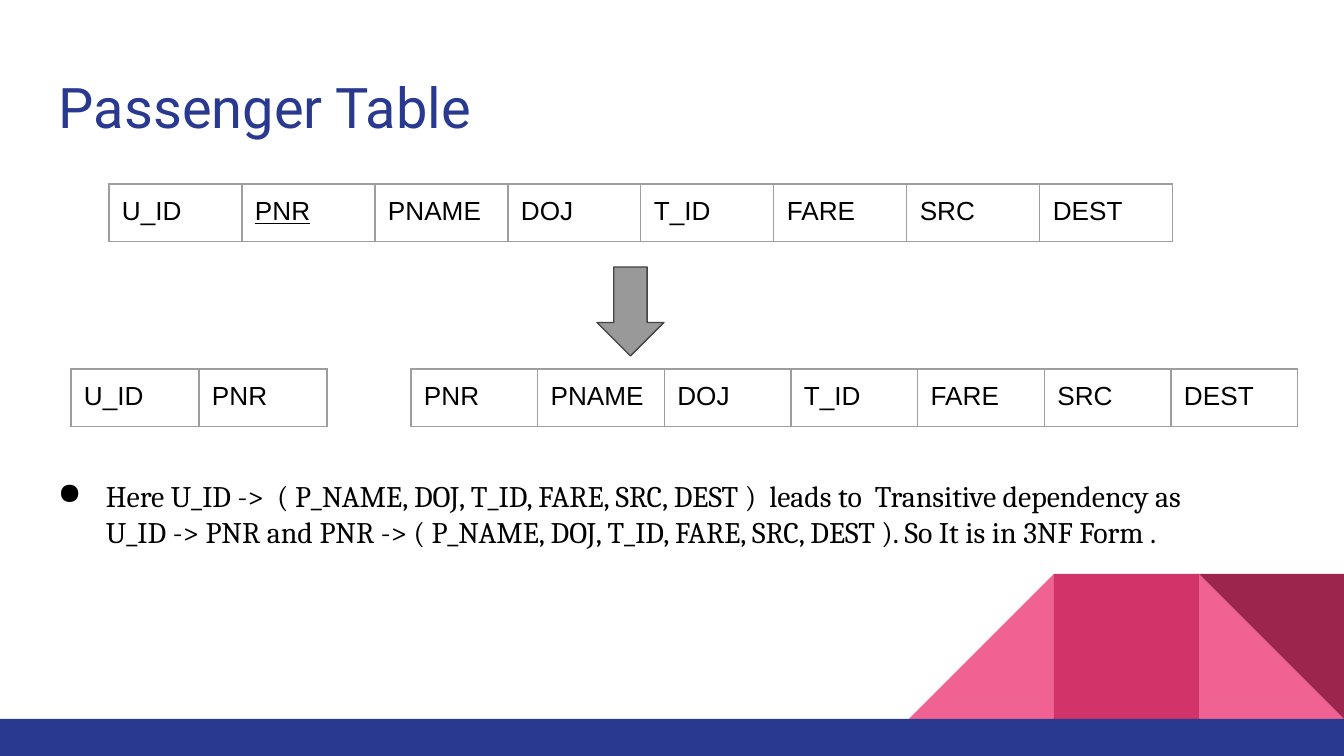
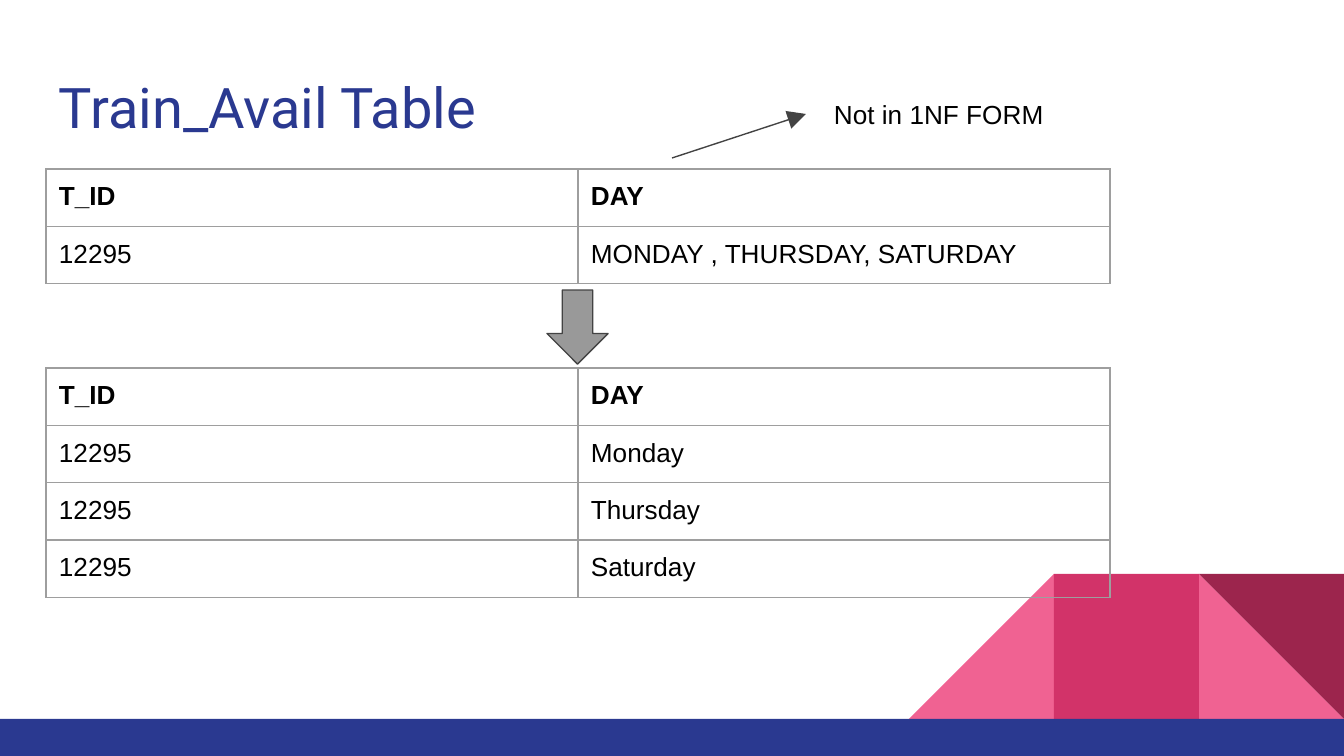
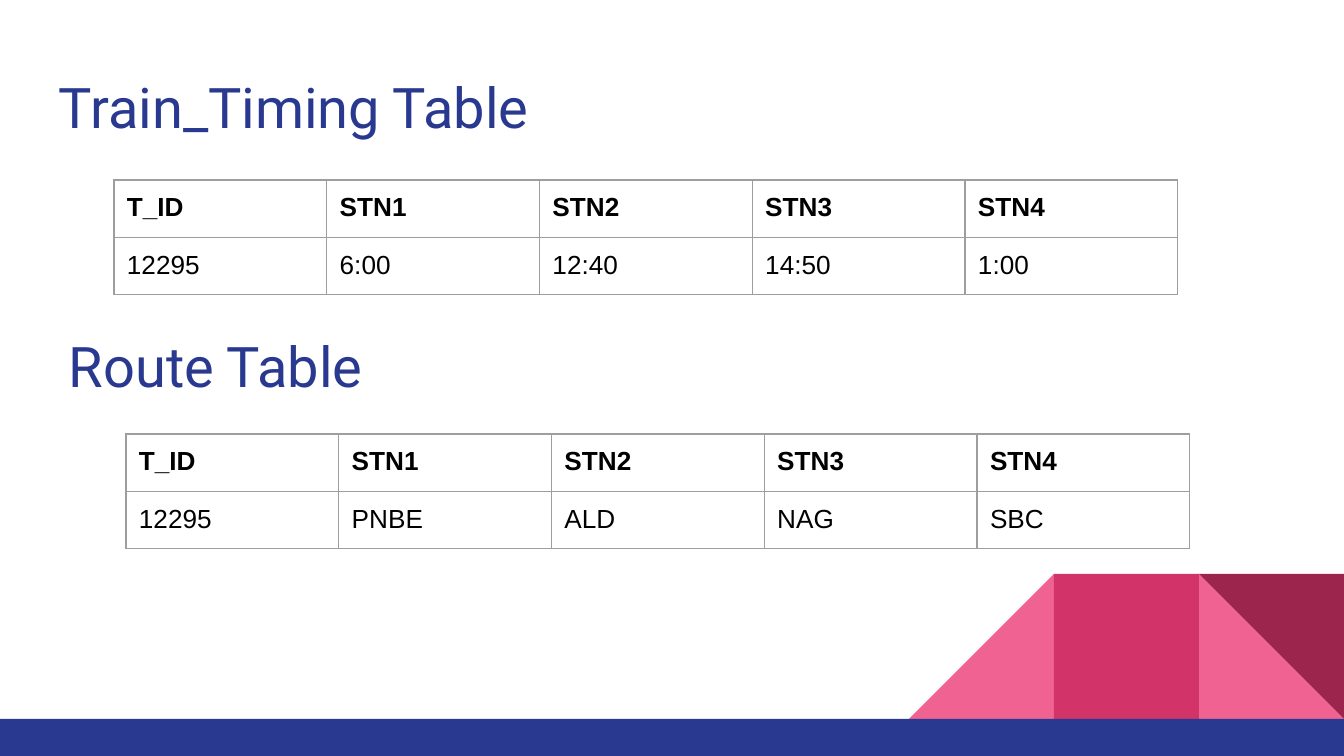
"""Build three slides on normalising the railway booking tables."""
import lxml.etree
import pptx
import pptx.dml.color
import pptx.enum.shapes
import pptx.enum.text
import pptx.oxml.ns
import pptx.util

WIDE, HIGH = 1344, 756
SCALE = 9144000 / WIDE


class Theme:
    blue, rose, pink, wine = "2A3990", "D23369", "F06292", "9C254D"
    black, rule, gray, edge = "000000", "9E9E9E", "999999", "434343"
    title = {"name": "Roboto", "size": pptx.util.Pt(30)}
    body = {"name": "Cambria", "size": pptx.util.Pt(16)}
    cell = {"name": "Arial", "size": pptx.util.Pt(14)}
    line = pptx.util.Pt(0.75)
    inset, row, block, bar = 13, 56, 145, 37


def emu(px):
    return pptx.util.Emu(round(px * SCALE))


def tint(code):
    return pptx.dml.color.RGBColor.from_string(code)


def apply(target, values):
    for key, value in values.items():
        setattr(target, key, value)


def child(parent, tag, **values):
    return lxml.etree.SubElement(parent, pptx.oxml.ns.qn(tag), values)


class Deck:
    def __init__(self, theme):
        self.theme = theme
        self.show = pptx.Presentation()
        self.show.slide_width, self.show.slide_height = emu(WIDE), emu(HIGH)
        self.slide = None

    def page(self, title):
        self.slide = self.show.slides.add_slide(self.show.slide_layouts[6])
        self.motif()
        self.title(title, 46, 60, 1253, 89)

    def motif(self):
        theme = self.theme
        kinds = pptx.enum.shapes.MSO_SHAPE
        side = theme.block
        floor = HIGH - theme.bar
        parts = [
            (1, kinds.RIGHT_TRIANGLE, theme.pink, 0),
            (3, kinds.RIGHT_TRIANGLE, theme.pink, 270),
            (2, kinds.RECTANGLE, theme.rose, 0),
            (1, kinds.RIGHT_TRIANGLE, theme.wine, 180),
        ]
        for step, kind, fill, turn in parts:
            shape = self.shape(kind, WIDE - step * side, floor - side, side, side, fill)
            shape.rotation = turn
        self.shape(kinds.RECTANGLE, 0, floor, WIDE, theme.bar, theme.blue)

    def shape(self, kind, left, top, width, height, fill, edge=None):
        shape = self.slide.shapes.add_shape(
            kind, emu(left), emu(top), emu(width), emu(height))
        shape.shadow.inherit = False
        shape.fill.solid()
        shape.fill.fore_color.rgb = tint(fill)
        if edge:
            self.stroke(shape.line, edge)
        else:
            shape.line.fill.background()
        return shape

    def stroke(self, line, code):
        line.color.rgb = tint(code)
        line.width = self.theme.line

    def down(self, left, top, width, height):
        self.shape(pptx.enum.shapes.MSO_SHAPE.DOWN_ARROW, left, top, width, height,
                   self.theme.gray, self.theme.edge)

    def arrow(self, *ends):
        link = self.slide.shapes.add_connector(
            pptx.enum.shapes.MSO_CONNECTOR.STRAIGHT, *map(emu, ends))
        self.stroke(link.line, self.theme.edge)
        props = link._element.spPr
        child(props.find(pptx.oxml.ns.qn("a:ln")), "a:tailEnd",
              type="triangle", w="lg", len="lg")
        child(props, "a:effectLst")

    def label(self, para, words, look, code):
        run = para.add_run()
        run.text = words
        apply(run.font, look)
        run.font.color.rgb = tint(code)

    def pad(self, target):
        inset = emu(self.theme.inset)
        apply(target, {f"margin_{side}": inset for side in ("left", "right", "top", "bottom")})

    def text(self, words, left, top, width, height, look, code, middle=False, bullet=None):
        box = self.slide.shapes.add_textbox(emu(left), emu(top), emu(width), emu(height))
        frame = box.text_frame
        anchors = pptx.enum.text.MSO_ANCHOR
        apply(frame, {"word_wrap": True,
                      "vertical_anchor": anchors.MIDDLE if middle else anchors.TOP})
        self.pad(frame)
        para = frame.paragraphs[0]
        if bullet:
            props = para._p.get_or_add_pPr()
            for key, px in {"marL": 67, "indent": -48}.items():
                props.set(key, str(int(emu(px))))
            child(props, "a:buChar", char=bullet)
        self.label(para, words, look, code)

    def title(self, words, left, top, width, height, middle=False):
        self.text(words, left, top, width, height, self.theme.title, self.theme.blue, middle)

    def table(self, left, top, width, rows, head=True, key=None):
        theme = self.theme
        count = len(rows[0])
        grid = self.slide.shapes.add_table(
            len(rows), count, emu(left), emu(top), emu(width), emu(theme.row * len(rows))).table
        apply(grid, {"first_row": False, "horz_banding": False})
        for column in grid.columns:
            column.width = emu(width / count)
        for index, row in enumerate(rows):
            grid.rows[index].height = emu(theme.row)
            for place, words in enumerate(row):
                cell = grid.cell(index, place)
                self.pad(cell)
                self.frame(cell)
                look = {**theme.cell, "bold": head and index == 0, "underline": words == key}
                self.label(cell.text_frame.paragraphs[0], words, look, theme.black)

    def frame(self, cell):
        props = cell._tc.get_or_add_tcPr()
        for side in "LRTB":
            line = child(props, f"a:ln{side}", w=str(int(self.theme.line)))
            child(child(line, "a:solidFill"), "a:srgbClr", val=self.theme.rule)
        cell.fill.background()


def main():
    theme = Theme()
    deck = Deck(theme)

    deck.page("Passenger Table")
    fields = ["PNR", "PNAME", "DOJ", "T_ID", "FARE", "SRC", "DEST"]
    deck.table(109, 184, 1064, [["U_ID", *fields]], head=False, key="PNR")
    deck.down(597, 267, 67, 89)
    deck.table(71, 369, 256, [["U_ID", "PNR"]], head=False)
    deck.table(411, 369, 887, [fields], head=False)
    deck.text("Here U_ID ->  ( P_NAME, DOJ, T_ID, FARE, SRC, DEST )  leads to  Transitive "
              "dependency as U_ID -> PNR and PNR -> ( P_NAME, DOJ, T_ID, FARE, SRC, DEST ). "
              "So It is in 3NF Form .",
              26, 465, 1210, 141, theme.body, theme.black, bullet="●")

    deck.page("Train_Avail Table")
    head, train = ["T_ID", "DAY"], "12295"
    deck.table(46, 169, 1064, [head, [train, "MONDAY , THURSDAY, SATURDAY"]])
    deck.arrow(672, 158, 806, 114)
    deck.text("Not in 1NF FORM", 821, 85, 510, 74, theme.cell, theme.black)
    deck.down(547, 290, 61, 74)
    days = ["Monday", "Thursday", "Saturday"]
    deck.table(46, 368, 1064, [head, *([train, day] for day in days)])

    deck.page("Train_Timing Table")
    stops = ["T_ID", *(f"STN{number}" for number in range(1, 5))]
    deck.table(114, 180, 1064, [stops, [train, "6:00", "12:40", "14:50", "1:00"]])
    deck.title("Route Table", 56, 327, 1052, 77, middle=True)
    deck.table(126, 434, 1064, [stops, [train, "PNBE", "ALD", "NAG", "SBC"]])

    deck.show.save("out.pptx")


if __name__ == "__main__":
    main()
